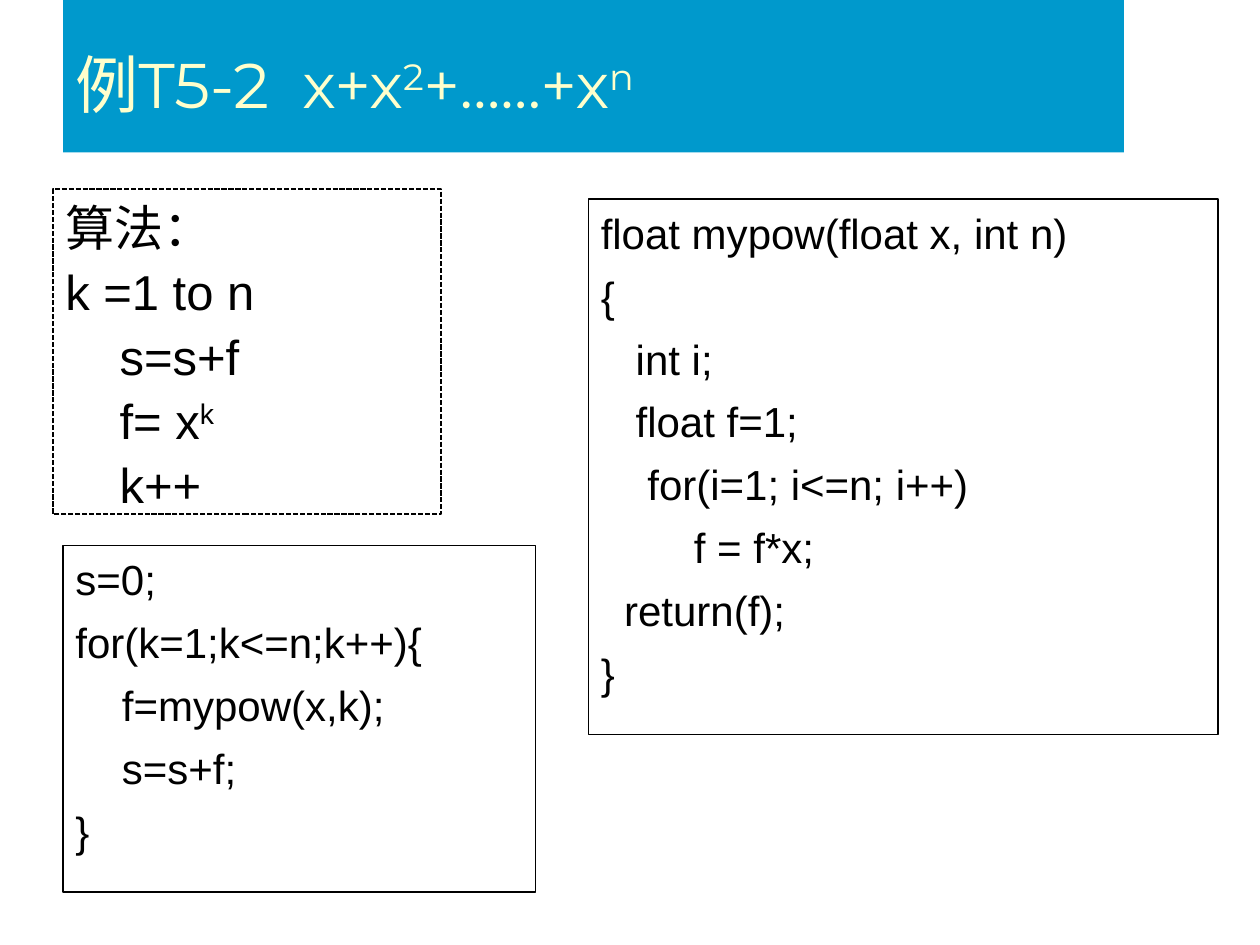
"""Build a slide that explains summing the powers of x with a helper function."""
from dataclasses import dataclass

from pptx import Presentation
from pptx.dml.color import RGBColor
from pptx.enum.dml import MSO_LINE
from pptx.enum.shapes import MSO_SHAPE
from pptx.enum.text import MSO_ANCHOR, MSO_AUTO_SIZE, PP_ALIGN
from pptx.util import Inches, Pt

RECTANGLE = MSO_SHAPE.RECTANGLE
DOTTED = MSO_LINE.SQUARE_DOT
SOLID = MSO_LINE.SOLID
TOP = MSO_ANCHOR.TOP
MIDDLE = MSO_ANCHOR.MIDDLE
NO_AUTOFIT = MSO_AUTO_SIZE.NONE
LEFT = PP_ALIGN.LEFT
JUSTIFY = PP_ALIGN.JUSTIFY

BLUE = RGBColor(0x00, 0x99, 0xCC)
CREAM = RGBColor(0xFF, 0xFF, 0xCC)
BLACK = RGBColor(0x00, 0x00, 0x00)
CODE_INDENT = Inches(0.38)


@dataclass(frozen=True)
class Style:
    font: str
    size: float
    color: RGBColor


@dataclass(frozen=True)
class CodeBox:
    left: float
    top: float
    width: float
    height: float
    size: float
    first_space: float
    space: float
    dash: MSO_LINE
    lines: tuple[str, ...]


CODE_BOXES = (
    CodeBox(0.42, 1.5, 3.08, 2.58, 28, 0, 1.8, DOTTED, (
        "算法：",
        "k =1 to n",
        "    s=s+f",
        "    f= x^k",
        "    k++",
    )),
    CodeBox(0.5, 4.33, 3.75, 2.75, 24, 0, 6, SOLID, (
        "s=0;",
        "for(k=1;k<=n;k++){",
        "    f=mypow(x,k);",
        "    s=s+f;",
        "}",
    )),
    CodeBox(4.67, 1.58, 5, 4.25, 24, 0, 6, SOLID, (
        "float mypow(float x, int n)",
        "{",
        "   int i;",
        "   float f=1;",
        "    for(i=1; i<=n; i++)",
        "        f = f*x;",
        "  return(f);",
        "}",
    )),
)


def add_span(para, text: str, style: Style, raised: bool = False):
    """Append one formatted run, raised when it is an exponent."""
    span = para.add_run()
    span.text = text
    span.font.name = style.font
    span.font.size = Pt(style.size)
    span.font.color.rgb = style.color
    if raised:
        span.font._element.set("baseline", "30000")
    return span


def add_powers(para, text: str, style: Style) -> None:
    """Write text in which a caret raises the character after it."""
    base, *powers = text.split("^")
    add_span(para, base, style)
    for power in powers:
        add_span(para, power[0], style, raised=True)
        if power[1:]:
            add_span(para, power[1:], style)


def set_frame(frame, anchor: MSO_ANCHOR) -> None:
    """Give a text frame its margins, wrapping and anchor."""
    frame.word_wrap = True
    frame.auto_size = NO_AUTOFIT
    frame.vertical_anchor = anchor
    frame.margin_left = frame.margin_right = Inches(0.1)
    frame.margin_top = frame.margin_bottom = Inches(0.05)


def format_title(title) -> None:
    """Place the title band and write the series in it."""
    title.left, title.top = Inches(0.5), Inches(0)
    title.width, title.height = Inches(8.42), Inches(1.21)
    title.fill.solid()
    title.fill.fore_color.rgb = BLUE
    set_frame(title.text_frame, MIDDLE)
    para = title.text_frame.paragraphs[0]
    para.alignment = LEFT
    para.line_spacing = 1.2
    style = Style("Montserrat", 36, CREAM)
    add_span(para, "例T5-2", style)
    gap = add_span(para, " ", style)
    gap.font._element.set("spc", "950")
    add_powers(para, "x+x^2+……+x^n", style)


def add_code_box(page, code: CodeBox) -> None:
    """Draw an outlined box with one paragraph for each line of code."""
    box = page.shapes.add_shape(
        RECTANGLE, Inches(code.left), Inches(code.top),
        Inches(code.width), Inches(code.height))
    box.shadow.inherit = False
    box.fill.background()
    box.line.color.rgb = BLACK
    box.line.width = Pt(1)
    box.line.dash_style = code.dash
    frame = box.text_frame
    set_frame(frame, TOP)
    style = Style("Arial", code.size, BLACK)
    for index, line in enumerate(code.lines):
        para = frame.add_paragraph() if index else frame.paragraphs[0]
        para.alignment = JUSTIFY
        para.line_spacing = 1.04
        para.space_before = Pt(code.space if index else code.first_space)
        properties = para._p.get_or_add_pPr()
        properties.set("marL", str(CODE_INDENT))
        properties.set("indent", str(-CODE_INDENT))
        add_powers(para, line, style)


def main() -> None:
    """Create the deck and save it."""
    deck = Presentation()
    deck.slide_width, deck.slide_height = Inches(10), Inches(7.5)
    page = deck.slides.add_slide(deck.slide_layouts[5])
    format_title(page.shapes.title)
    for code in CODE_BOXES:
        add_code_box(page, code)
    deck.save("out.pptx")


if __name__ == "__main__":
    main()
